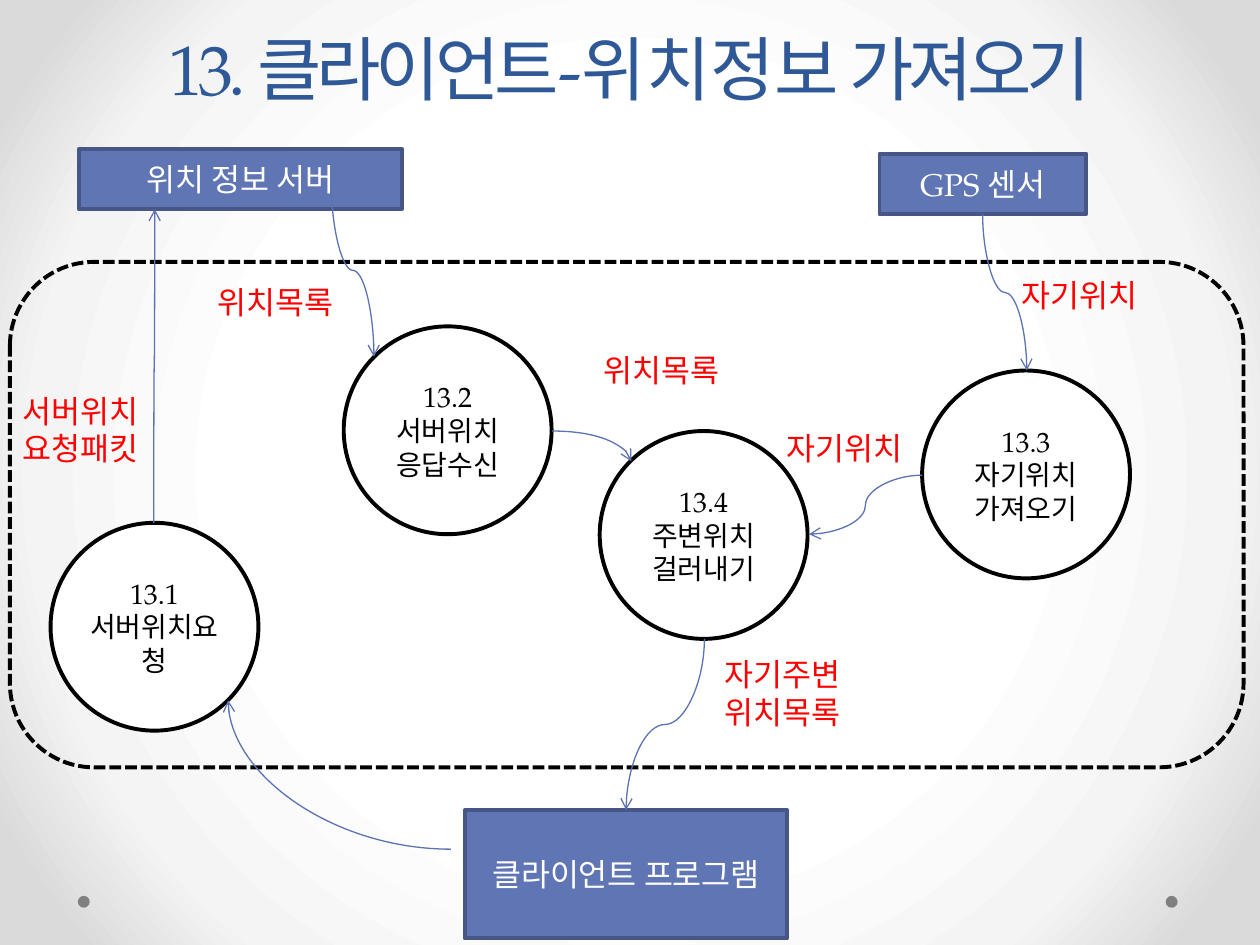
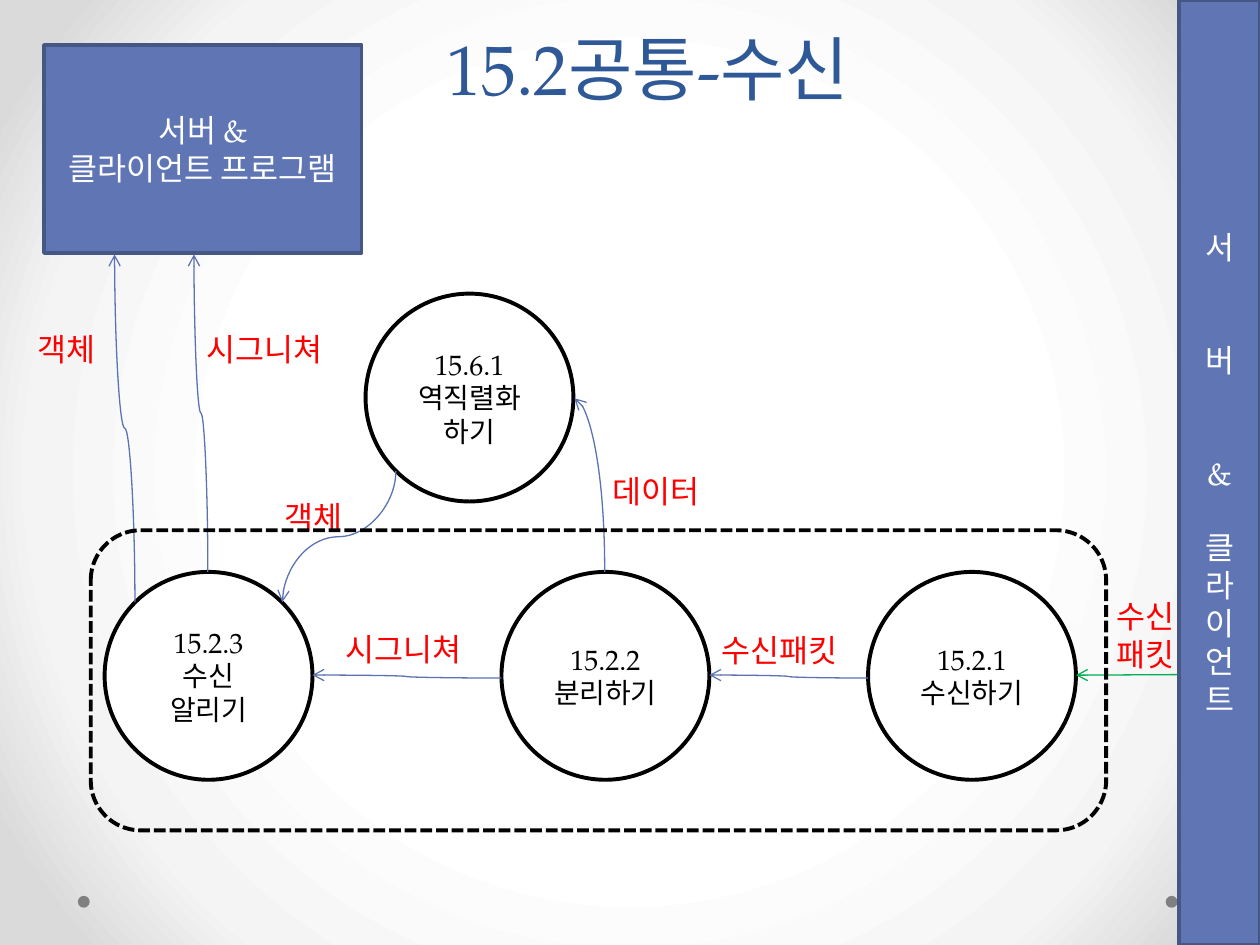
import pptx
import pptx.util
import pptx.oxml
import pptx.oxml.ns
import pptx.dml.color
import pptx.enum.dml
import pptx.enum.shapes
import pptx.enum.text
from lxml import etree

Cm = pptx.util.Cm
Pt = pptx.util.Pt
RGBColor = pptx.dml.color.RGBColor
SHAPE = pptx.enum.shapes.MSO_SHAPE
LINK = pptx.enum.shapes.MSO_CONNECTOR
ALIGN = pptx.enum.text.PP_ALIGN
ANCHOR = pptx.enum.text.MSO_ANCHOR
qn = pptx.oxml.ns.qn

# Shared look
FONT = "TeX Gyre Pagella"
NAVY = RGBColor(0x2F, 0x58, 0x97)
BLUE = RGBColor(0x60, 0x76, 0xB4)
EDGE = RGBColor(0x47, 0x57, 0x85)
LINE = RGBColor(0x5C, 0x72, 0xB2)
GREEN = RGBColor(0x00, 0xB0, 0x50)
RED = RGBColor(0xFF, 0x00, 0x00)
GRAY = RGBColor(0x80, 0x80, 0x80)
BLACK = RGBColor(0, 0, 0)
WHITE = RGBColor(0xFF, 0xFF, 0xFF)
STOPS = ((50, "FFFFFF"), (76, "F4F4F4"), (92, "DADADA"))
WIDE, HIGH = 25.4, 19.05
ROUND = 4.19  # width of a process circle


def write(shape, text, size=18, color=BLACK, align=ALIGN.CENTER,
          anchor=ANCHOR.MIDDLE, inset=None, lead=None, track=None, gaps=None):
    """Write one paragraph per line; track maps a phrase to its letter spacing."""
    frame = shape.text_frame
    frame.word_wrap = True
    frame.vertical_anchor = anchor
    if inset is not None:
        frame.margin_left = frame.margin_right = Cm(inset)
        frame.margin_top = frame.margin_bottom = Cm(inset)
    for num, line in enumerate(text.split("\n")):
        para = frame.add_paragraph() if num else frame.paragraphs[0]
        para.alignment = align
        if lead:
            para.line_spacing = Pt(lead)
        if gaps and num in gaps:
            para.space_before = Pt(gaps[num])
        for part, space in (track or {line: 0}).items():
            run = para.add_run()
            run.text = part
            run.font.name = FONT
            run.font.size = Pt(size)
            run.font.color.rgb = color
            if space:
                run._r.get_or_add_rPr().set("spc", str(space * 100))


def shape(slide, kind, x, y, w, h, fill=None, edge=None):
    item = slide.shapes.add_shape(kind, Cm(x), Cm(y), Cm(w), Cm(h))
    item.shadow.inherit = False
    if fill is None:
        item.fill.background()
    else:
        item.fill.solid()
        item.fill.fore_color.rgb = fill
    if edge is None:
        item.line.fill.background()
    else:
        item.line.color.rgb = edge
        item.line.width = Pt(2.25)
    return item


def block(slide, text, x, y, w, h, gaps=None):
    item = shape(slide, SHAPE.RECTANGLE, x, y, w, h, BLUE, EDGE)
    write(item, text, color=WHITE, gaps=gaps)


def circle(slide, text, x, y):
    item = shape(slide, SHAPE.OVAL, x, y, ROUND, ROUND, WHITE, BLACK)
    write(item, text, size=16, inset=0.1)


def zone(slide, x, y, w, h):
    item = shape(slide, SHAPE.ROUNDED_RECTANGLE, x, y, w, h, edge=BLACK)
    item.line.dash_style = pptx.enum.dml.MSO_LINE.SQUARE_DOT


def label(slide, text, x, y, w=3.4):
    high = 1.8 if "\n" in text else 1.02
    box = slide.shapes.add_textbox(Cm(x), Cm(y), Cm(w), Cm(high))
    write(box, text, color=RED, align=ALIGN.LEFT, anchor=ANCHOR.TOP)


def arrow(slide, x1, y1, x2, y2, kind=LINK.CURVE, color=LINE,
          down=False, bend=False):
    """Join two points; down leaves upright, bend makes a quarter turn."""
    turn = 0
    if down:
        # An upright curve is a level one turned about its middle
        dx, dy = x2 - x1, y2 - y1
        mx, my = (x1 + x2) / 2, (y1 + y2) / 2
        turn = 1 if dx * dy < 0 else -1
        u, v = turn * dy / 2, -turn * dx / 2
        x1, y1, x2, y2 = mx - u, my - v, mx + u, my + v
    item = slide.shapes.add_connector(kind, Cm(x1), Cm(y1), Cm(x2), Cm(y2))
    item.line.color.rgb = color
    item.line.width = Pt(0.75)
    props = item._element.spPr
    if turn:
        props.find(qn("a:xfrm")).set("rot", str(turn * 90 % 360 * 60000))
    if bend:
        props.find(qn("a:prstGeom")).set("prst", "curvedConnector2")
    tail = etree.SubElement(props.find(qn("a:ln")), qn("a:tailEnd"))
    tail.set("type", "arrow")
    etree.SubElement(props, qn("a:effectLst"))


def paint(master):
    """Give all slides the round gray glow."""
    master.background.fill.solid()
    props = master._element.cSld.find(qn("p:bg")).find(qn("p:bgPr"))
    stops = "".join(f'<a:gs pos="{pos * 1000}"><a:srgbClr val="{tone}"/></a:gs>'
                    for pos, tone in STOPS)
    glow = pptx.oxml.parse_xml(
        f'<a:gradFill {pptx.oxml.ns.nsdecls("a")} rotWithShape="1">'
        f'<a:gsLst>{stops}</a:gsLst><a:path path="circle"><a:fillToRect '
        'l="50000" t="50000" r="50000" b="50000"/></a:path></a:gradFill>')
    props.replace(props.find(qn("a:solidFill")), glow)


def start(deck, text, x, track=None):
    """Add a slide with its two dots and title."""
    slide = deck.slides.add_slide(deck.slide_layouts[6])
    for left in (23.5, 1.57):
        shape(slide, SHAPE.OVAL, left, 18.06, 0.24, 0.24, GRAY)
    box = slide.shapes.add_textbox(Cm(x), 0, Cm(22.86), Cm(2.34))
    write(box, text, size=40, color=NAVY, anchor=ANCHOR.BOTTOM, lead=58,
          track=track)
    return slide


def fetch(deck):
    slide = start(deck, "13. 클라이언트-위치정보 가져오기", 1.27,
                  {"13. 클라이언트-": -3, "위치정보": 0, " 가져오기": -3})
    # Outer parts and system border
    block(slide, "클라이언트 프로그램", 9.37, 16.33, 6.5, 2.59)
    zone(slide, 0.2, 5.28, 24.87, 10.19)
    block(slide, "GPS 센서", 17.73, 3.1, 4.17, 1.22)
    block(slide, "위치 정보 서버", 1.6, 3, 6.5, 1.22)
    # Processes
    circle(slide, "13.4\n주변위치\n걸러내기", 12.09, 8.69)
    circle(slide, "13.3\n자기위치\n가져오기", 18.59, 7.47)
    circle(slide, "13.1\n서버위치요청", 1.02, 10.54)
    circle(slide, "13.2\n서버위치\n응답수신", 6.93, 6.58)
    # Flows
    arrow(slide, 14.2, 12.88, 12.62, 16.33, down=True)
    arrow(slide, 3.1, 10.54, 3.12, 4.22, down=True)
    arrow(slide, 18.59, 9.58, 16.31, 10.77)
    arrow(slide, 19.81, 4.32, 20.7, 7.47, down=True)
    arrow(slide, 9.09, 17.12, 4.6, 14.12, bend=True)
    arrow(slide, 6.68, 3.71, 7.54, 7.19, down=True)
    arrow(slide, 11.13, 8.69, 12.73, 9.3, bend=True)
    # Flow names
    label(slide, "자기주변\n위치목록", 14.35, 13.08)
    label(slide, "위치목록", 4.14, 5.59)
    label(slide, "자기위치", 15.6, 8.53)
    label(slide, "서버위치\n요청패킷", 0.2, 7.77)
    label(slide, "위치목록", 11.91, 6.96)
    label(slide, "자기위치", 20.35, 5.44)


def receive(deck):
    slide = start(deck, "15.2공통-수신", 1.63)
    # Processes
    row = ((2.11, "15.2.3\n수신\n알리기"), (10.11, "15.2.2\n분리하기"),
           (17.5, "15.2.1\n수신하기"))
    for x, text in row:
        circle(slide, text, x, 11.53)
    circle(slide, "15.6.1\n역직렬화\n하기", 7.37, 5.92)
    block(slide, "서버 &\n클라이언트 프로그램", 0.89, 0.91, 6.4, 4.19)
    # Flows
    arrow(slide, WIDE, 13.59, 21.69, 13.61, LINK.STRAIGHT, GREEN)
    arrow(slide, 17.5, 13.67, 14.3, 13.61)
    arrow(slide, 10.11, 13.67, 6.3, 13.61)
    arrow(slide, 12.19, 11.53, 11.58, 8.03, down=True, bend=True)
    arrow(slide, 7.98, 9.5, 5.69, 12.14, down=True)
    arrow(slide, 2.72, 12.14, 2.31, 5.13, down=True)
    arrow(slide, 4.19, 11.53, 3.91, 5.13, down=True)
    # Flow names
    label(slide, "수신패킷", 14.3, 12.6, 3.81)
    label(slide, "데이터", 12.09, 9.4, 2.69)
    label(slide, "시그니쳐", 6.71, 12.57, 3.3)
    label(slide, "객체", 5.49, 9.91, 1.96)
    label(slide, "객체", 0.51, 6.53, 1.96)
    label(slide, "시그니쳐", 3.91, 6.53, 3.3)
    # System border and side bar
    zone(slide, 1.83, 10.69, 20.47, 6.05)
    block(slide, "\n".join("서버&클라이언트"), 23.77, 0, 1.63, HIGH,
          gaps={1: 43, 2: 43, 3: 21})
    label(slide, "수신\n패킷", 22.25, 11.91, 3)


def main():
    deck = pptx.Presentation()
    deck.slide_width, deck.slide_height = Cm(WIDE), Cm(HIGH)
    paint(deck.slide_master)
    fetch(deck)
    receive(deck)
    deck.save("out.pptx")


if __name__ == "__main__":
    main()
